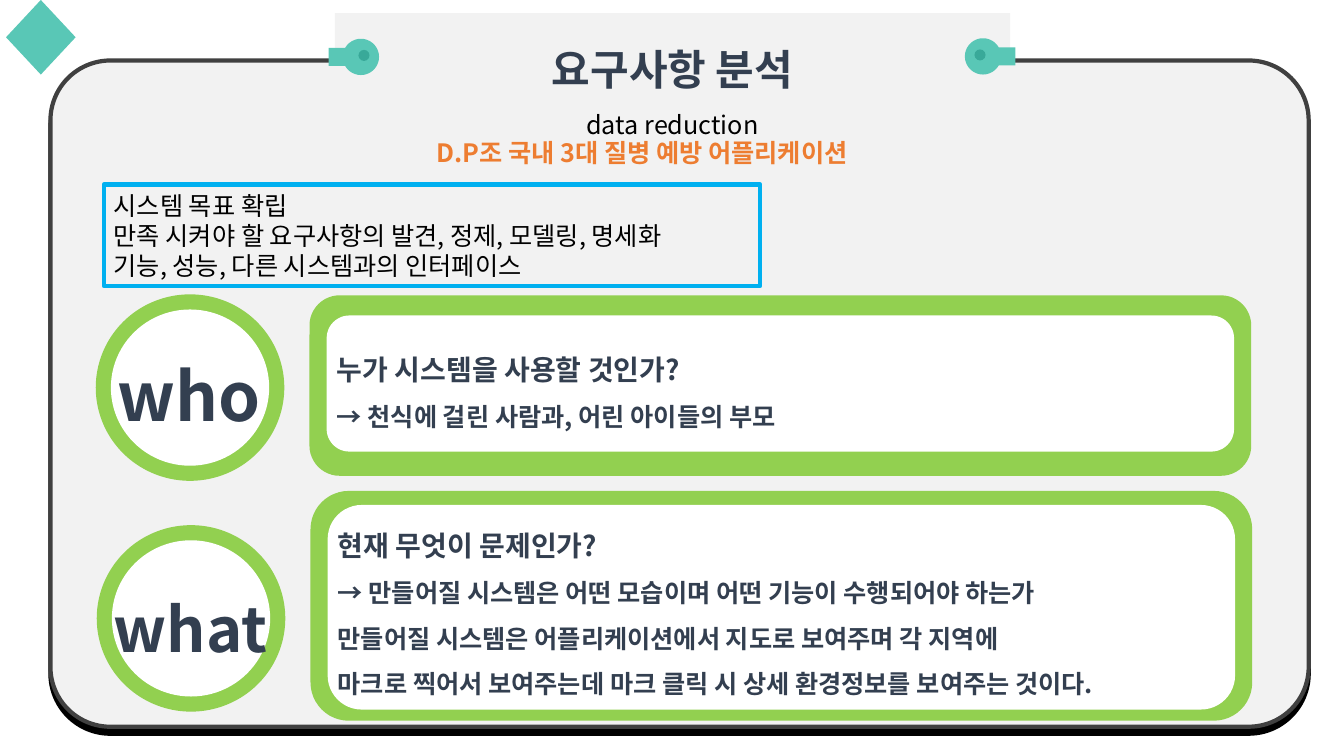
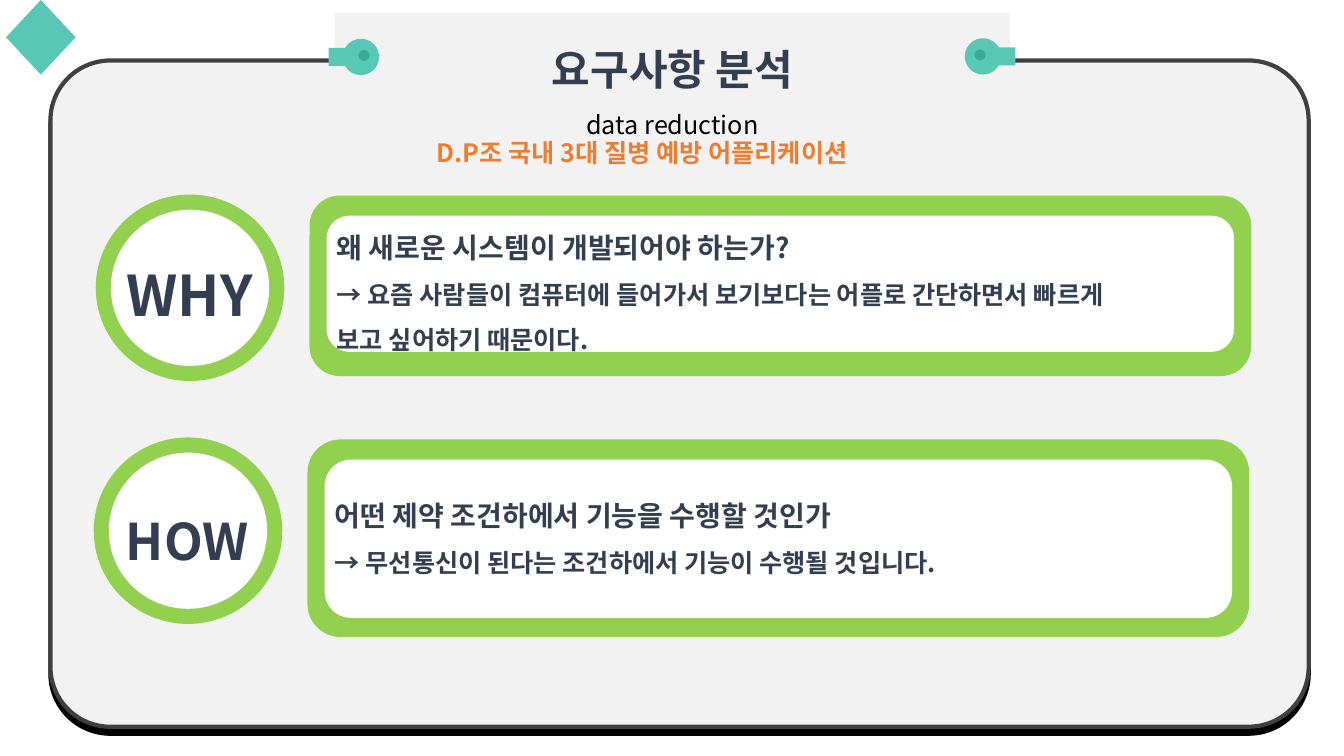
import dataclasses
import math

import lxml.etree
import pptx
import pptx.dml.color
import pptx.enum.shapes
import pptx.enum.text
import pptx.oxml.ns
import pptx.util

SHAPES = pptx.enum.shapes.MSO_SHAPE
ALIGN = pptx.enum.text.PP_ALIGN
ANCHOR = pptx.enum.text.MSO_ANCHOR
AUTO_SIZE = pptx.enum.text.MSO_AUTO_SIZE
COLUMNS, ROWS = 133.3, 75
CELL = pptx.util.Inches(0.1)
TWO_CONTENT_LAYOUT = 3


@dataclasses.dataclass(frozen=True)
class Theme:
    font: str = "Noto Sans CJK KR"
    panel: str = "F2F2F2"
    outline: str = "404040"
    teal: str = "59C7B6"
    deep_teal: str = "39A999"
    green: str = "92D050"
    white: str = "FFFFFF"
    black: str = "000000"
    navy: str = "333F50"
    orange: str = "ED7D31"
    blue: str = "00B0F0"
    title_size: int = 30
    question_size: int = 20
    text_size: int = 18
    line_width: int = 3
    spacing: float = 1.5


@dataclasses.dataclass(frozen=True)
class Topic:
    word: str
    word_size: int
    word_top: float
    left: float
    disc_top: float
    frame: tuple
    inner: tuple
    text: tuple
    lines: tuple


def cells(*lengths):
    return [round(length * CELL) for length in lengths]


def color(value):
    return pptx.dml.color.RGBColor.from_string(value)


def assign(target, values):
    for name, value in values.items():
        setattr(target, name, value)


def add_element(parent, tag, **attributes):
    return lxml.etree.SubElement(parent, pptx.oxml.ns.qn(tag), attributes)


class Deck:
    def __init__(self, theme):
        self.theme = theme
        self.presentation = pptx.Presentation()
        width, height = cells(COLUMNS, ROWS)
        assign(self.presentation, {"slide_width": width, "slide_height": height})
        self.slide = None

    def new_slide(self):
        layout = self.presentation.slide_layouts[TWO_CONTENT_LAYOUT]
        self.slide = self.presentation.slides.add_slide(layout)

    def paint(self, shape, fill=None, line=None):
        shape.shadow.inherit = False
        if fill:
            shape.fill.solid()
            shape.fill.fore_color.rgb = color(fill)
        else:
            shape.fill.background()
        if line:
            shape.line.color.rgb = color(line)
            shape.line.width = pptx.util.Pt(self.theme.line_width)
        else:
            shape.line.fill.background()
        return shape

    def shape(self, kind, box, fill=None, line=None):
        return self.paint(self.slide.shapes.add_shape(kind, *cells(*box)), fill, line)

    def set_text(self, shape, lines, align=ALIGN.LEFT, spacing=1.0, wrap=True, anchor=ANCHOR.TOP):
        frame = shape.text_frame
        assign(frame, {"word_wrap": wrap, "auto_size": AUTO_SIZE.SHAPE_TO_FIT_TEXT,
                       "vertical_anchor": anchor})
        for index, (text, size, ink, bold) in enumerate(lines):
            paragraph = frame.paragraphs[0] if index == 0 else frame.add_paragraph()
            assign(paragraph, {"alignment": align, "line_spacing": spacing,
                               "space_before": pptx.util.Pt(0)})
            run = paragraph.add_run()
            run.text = text
            assign(run.font, {"name": self.theme.font, "size": pptx.util.Pt(size), "bold": bold})
            run.font.color.rgb = color(ink)
            add_element(run.font._element, "a:ea", typeface=self.theme.font)

    def text_box(self, box, lines, **options):
        self.set_text(self.slide.shapes.add_textbox(*cells(*box)), lines, **options)

    def fill_placeholder(self, shape, box, lines, **options):
        left, top, width, height = cells(*box)
        assign(shape, {"left": left, "top": top, "width": width, "height": height})
        self.slide.shapes._spTree.append(shape.element)
        self.set_text(shape, lines, spacing=self.theme.spacing, **options)

    def panel(self):
        panel = self.shape(SHAPES.ROUNDED_RECTANGLE, (5, 6, 124.8, 66.1),
                           self.theme.panel, self.theme.outline)
        panel.adjustments[0] = 0.09
        effects = panel.element.spPr.find(pptx.oxml.ns.qn("a:effectLst"))
        shadow = add_element(effects, "a:outerShdw", dist=str(pptx.util.Pt(5)),
                             dir="5400000", algn="t", rotWithShape="0")
        add_element(shadow, "a:srgbClr", val=self.theme.black)

    def title(self, heading, caption):
        theme = self.theme
        title = self.paint(self.slide.shapes.title, theme.panel)
        self.fill_placeholder(title, (33.2, 1.3, 67, 13.1),
                              [(heading, theme.title_size, theme.navy, True),
                               (caption, theme.text_size, theme.black, False)],
                              align=ALIGN.CENTER, anchor=ANCHOR.MIDDLE)

    def pin(self, x, y, direction):
        radius, tab_reach, tab_half, hole = 1.8, 3.2, 0.9, 1.1
        arc = [(radius * math.cos(math.radians(angle)), radius * math.sin(math.radians(angle)))
               for angle in range(30, 331, 10)]
        points = [cells(x + direction * across, y + down)
                  for across, down in [(tab_reach, tab_half), *arc, (tab_reach, -tab_half)]]
        builder = self.slide.shapes.build_freeform(*points[0])
        builder.add_line_segments(points[1:])
        body = self.paint(builder.convert_to_shape(), self.theme.teal)
        hole_box = (x - direction * 0.3 - hole / 2, y - 0.15 - hole / 2, hole, hole)
        self.slide.shapes.add_group_shape(
            [body, self.shape(SHAPES.OVAL, hole_box, self.theme.deep_teal)])

    def header(self, heading, caption, subtitle):
        theme = self.theme
        self.panel()
        self.title(heading, caption)
        self.pin(97.5, 5.6, 1)
        self.pin(35.8, 5.65, -1)
        self.shape(SHAPES.DIAMOND, (0.6, 0, 6.9, 7.4), theme.teal)
        self.text_box((42.3, 13.1, 46.8, 4),
                      [(subtitle, theme.text_size, theme.orange, True)], wrap=False)

    def goal_box(self, lines):
        theme = self.theme
        box = self.shape(SHAPES.RECTANGLE, (10.3, 18.3, 65.1, 10.1), line=theme.blue)
        self.set_text(box, [(line, theme.text_size, theme.black, False) for line in lines],
                      anchor=ANCHOR.MIDDLE)

    def topic(self, topic, placeholder):
        theme, left = self.theme, topic.left
        rim = 1.5
        self.slide.shapes.add_group_shape([
            self.shape(SHAPES.OVAL, (left + inset, topic.disc_top + inset,
                                     18.7 - 2 * inset, 18.5 - 2 * inset), fill)
            for inset, fill in ((0, theme.green), (rim, theme.white))])
        self.text_box((left - 2, topic.word_top, 22.6, topic.word_size * 0.24),
                      [(topic.word, topic.word_size, theme.navy, True)],
                      align=ALIGN.CENTER, spacing=theme.spacing)
        for offset, width, (top, height), fill in (
                (21.2, 93.4, topic.frame, theme.green),
                (22.9, 90, topic.inner, theme.white)):
            self.shape(SHAPES.ROUNDED_RECTANGLE, (left + offset, top, width, height), fill)
        sizes = [theme.question_size] + [theme.text_size] * (len(topic.lines) - 1)
        top, height = topic.text
        self.fill_placeholder(placeholder, (left + 22.9, top, 90, height),
                              [(line, size, theme.navy, True)
                               for line, size in zip(topic.lines, sizes)])
        for paragraph in placeholder.text_frame.paragraphs:
            properties = paragraph._p.get_or_add_pPr()
            properties.set("marL", "0")
            properties.set("indent", "0")
            add_element(properties, "a:buNone")


GOALS = ("시스템 목표 확립",
         "만족 시켜야 할 요구사항의 발견, 정제, 모델링, 명세화",
         "기능, 성능, 다른 시스템과의 인터페이스")

WHO = Topic("who", 48, 30.7, 9.5, 29.2, (29.3, 17.9), (31.3, 13.5), (32.8, 10.6),
            ("누가 시스템을 사용할 것인가?",
             "→ 천식에 걸린 사람과, 어린 아이들의 부모"))
WHAT = Topic("what", 44, 54.5, 9.6, 52.1, (48.7, 22.8), (50.1, 20.3), (50.3, 19.7),
             ("현재 무엇이 문제인가?",
              "→ 만들어질 시스템은 어떤 모습이며 어떤 기능이 수행되어야 하는가",
              "만들어질 시스템은 어플리케이션에서 지도로 보여주며 각 지역에",
              "마크로 찍어서 보여주는데 마크 클릭 시 상세 환경정보를 보여주는 것이다."))
WHY = Topic("WHY", 40, 22, 9.5, 19.3, (19.4, 17.9), (21.4, 13.5), (20.7, 15.1),
            ("왜 새로운 시스템이 개발되어야 하는가?",
             "→ 요즘 사람들이 컴퓨터에 들어가서 보기보다는 어플로 간단하면서 빠르게",
             "보고 싶어하기 때문이다."))
HOW = Topic("HOW", 36, 47.1, 9.3, 43.4, (43.6, 19.6), (45.6, 15.7), (47.3, 10.6),
            ("어떤 제약 조건하에서 기능을 수행할 것인가",
             "→ 무선통신이 된다는 조건하에서 기능이 수행될 것입니다."))


def main():
    deck = Deck(Theme())
    for goals, topics in ((GOALS, (WHO, WHAT)), ((), (WHY, HOW))):
        deck.new_slide()
        bodies = list(deck.slide.placeholders)[1:]
        deck.header("요구사항 분석", "data reduction", "D.P조 국내 3대 질병 예방 어플리케이션")
        if goals:
            deck.goal_box(goals)
        for topic, body in zip(topics, bodies):
            deck.topic(topic, body)
    deck.presentation.save("out.pptx")


if __name__ == "__main__":
    main()
